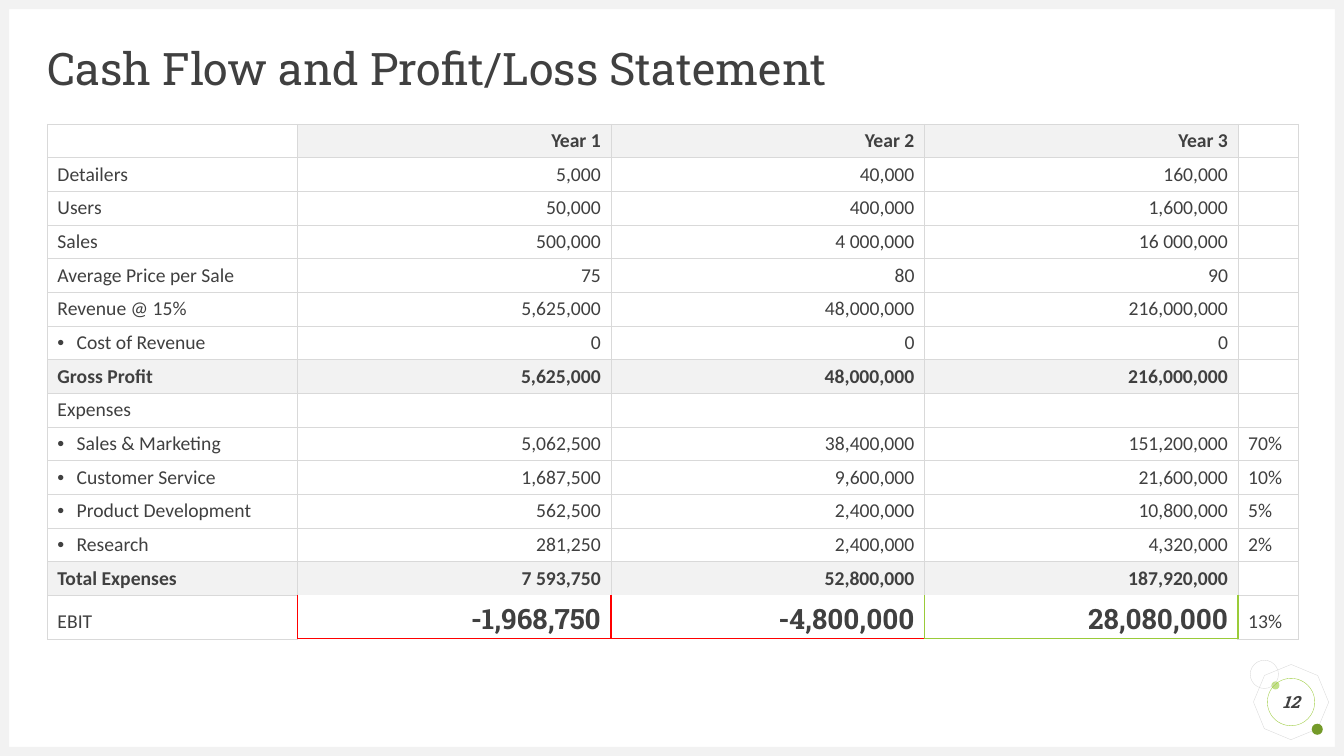
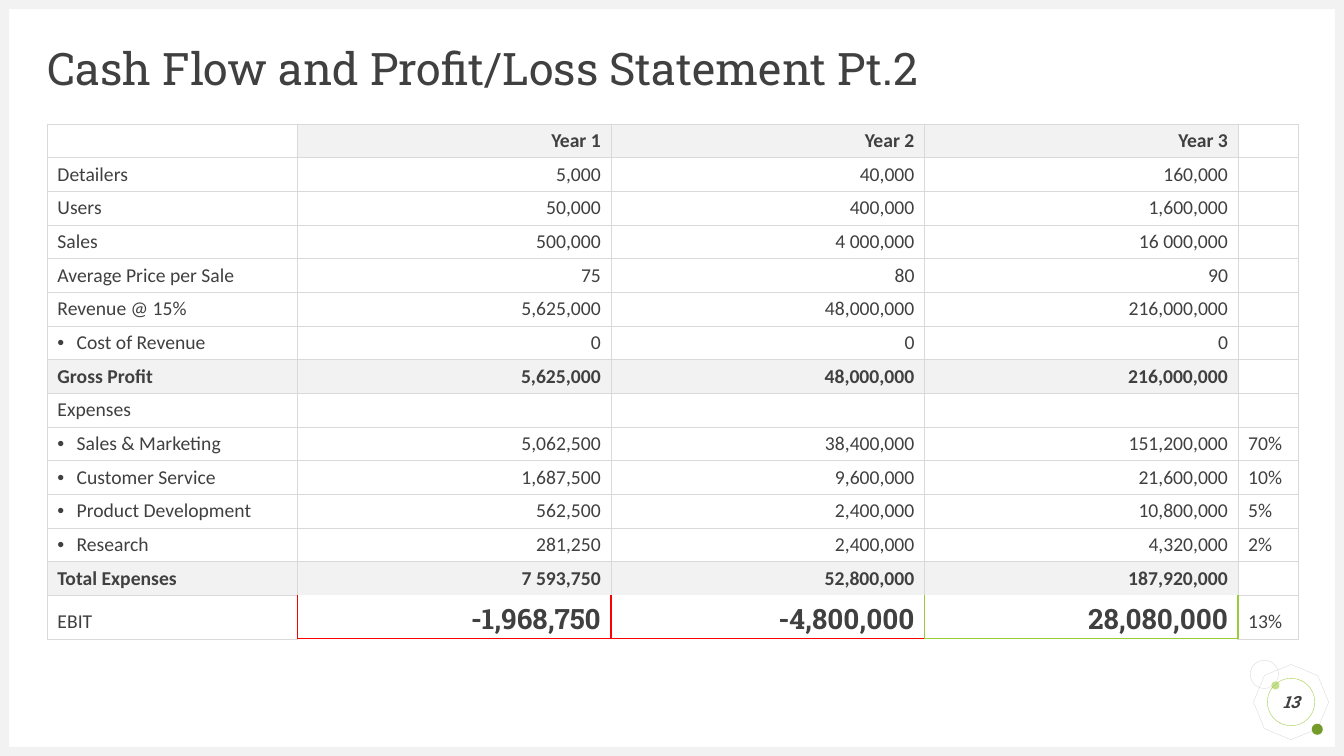
from lxml import etree
from pptx import Presentation
from pptx.dml.color import RGBColor
from pptx.enum.shapes import MSO_SHAPE
from pptx.enum.text import MSO_ANCHOR, PP_ALIGN
from pptx.oxml.ns import qn
from pptx.util import Inches, Pt

RECT, OVAL, OCTAGON = MSO_SHAPE.RECTANGLE, MSO_SHAPE.OVAL, MSO_SHAPE.OCTAGON
MIDDLE, BOTTOM = MSO_ANCHOR.MIDDLE, MSO_ANCHOR.BOTTOM
LEFT, CENTER, RIGHT = PP_ALIGN.LEFT, PP_ALIGN.CENTER, PP_ALIGN.RIGHT

THEME = {
    "text": "404040", "white": "FFFFFF", "band": "F2F2F2", "grid": "D9D9D9",
    "loss": "FF0000", "profit": "9ACB39", "light_dot": "C2E088", "dark_dot": "749A29",
    "heading_font": "Roboto Slab", "body_font": "Calibri",
    "title_size": 32, "body_size": 14, "result_size": 20, "number_size": 12,
}
W, H, BAND = 13.33, 7.5, 0.09

DECOR = [
    (OCTAGON, 12.46, 6.62, 0.69, 0.69, None, "grid", 22.7),
    (OVAL, 12.61, 6.76, 0.08, 0.08, "light_dot", None, 0),
    (OVAL, 13.01, 7.18, 0.11, 0.11, "dark_dot", None, 0),
    (OVAL, 12.4, 6.55, 0.28, 0.28, None, "grid", 0),
    (RECT, 0, H - BAND, W, BAND, "band", None, 0),
    (RECT, 0, 0, W, BAND, "band", None, 0),
    (RECT, 0, 0, BAND, H, "band", None, 0),
    (RECT, W - BAND, 0, BAND, H, "band", None, 0),
    (OVAL, 12.57, 6.73, 0.47, 0.47, None, "profit", 0),
]

COLUMN_WIDTHS = [2.48, 3.11, 3.11, 3.11, 0.6]
ROW_HEIGHT, RESULT_HEIGHT = 0.33, 0.42
ROWS = [
    ["", "Year 1", "Year 2", "Year 3", ""],
    ["Detailers", "5,000", "40,000", "160,000", ""],
    ["Users", "50,000", "400,000", "1,600,000", ""],
    ["Sales", "500,000", "4 000,000", "16 000,000", ""],
    ["Average Price per Sale", "75", "80", "90", ""],
    ["Revenue @ 15%", "5,625,000", "48,000,000", "216,000,000", ""],
    ["Cost of Revenue", "0", "0", "0", ""],
    ["Gross Profit", "5,625,000", "48,000,000", "216,000,000", ""],
    ["Expenses", "", "", "", ""],
    ["Sales & Marketing", "5,062,500", "38,400,000", "151,200,000", "70%"],
    ["Customer Service", "1,687,500", "9,600,000", "21,600,000", "10%"],
    ["Product Development", "562,500", "2,400,000", "10,800,000", "5%"],
    ["Research", "281,250", "2,400,000", "4,320,000", "2%"],
    ["Total Expenses", "7 593,750", "52,800,000", "187,920,000", ""],
    ["EBIT", "-1,968,750", "-4,800,000", "28,080,000", "13%"],
]
BULLETED = {"Cost of Revenue", "Sales & Marketing", "Customer Service",
            "Product Development", "Research"}
HIGHLIGHTED = {"", "Gross Profit", "Total Expenses"}
TOTAL_ROW, RESULT_ROW = len(ROWS) - 2, len(ROWS) - 1
RESULT_SIDES = ["loss", "loss", "profit", "profit"]
RESULT_BASES = ["loss", "loss", "profit"]


def style_text(p, font, size, bold=False, italic=False):
    for r in p.runs:
        r.font.name = font
        r.font.size = Pt(size)
        r.font.bold = bold
        r.font.italic = italic
        r.font.color.rgb = RGBColor.from_string(THEME["text"])


def set_border(cell, side, color):
    ln = etree.SubElement(cell._tc.get_or_add_tcPr(), qn("a:ln" + side))
    if color is None:
        etree.SubElement(ln, qn("a:noFill"))
        return
    ln.set("w", str(Pt(0.25 if color == "grid" else 1)))
    fill = etree.SubElement(ln, qn("a:solidFill"))
    etree.SubElement(fill, qn("a:srgbClr")).set("val", THEME[color])


prs = Presentation()
prs.slide_width, prs.slide_height = Inches(W), Inches(H)

for number, title in [(12, "Cash Flow and Profit/Loss Statement"),
                      (13, "Cash Flow and Profit/Loss Statement Pt.2")]:
    s = prs.slides.add_slide(prs.slide_layouts[6])

    for kind, x, y, w, h, fill, line, angle in DECOR:
        sp = s.shapes.add_shape(kind, Inches(x), Inches(y), Inches(w), Inches(h))
        sp.shadow.inherit = False
        sp.rotation = angle
        if fill:
            sp.fill.solid()
            sp.fill.fore_color.rgb = RGBColor.from_string(THEME[fill])
        else:
            sp.fill.background()
        if line:
            sp.line.color.rgb = RGBColor.from_string(THEME[line])
            sp.line.width = Pt(0.25)
        else:
            sp.line.fill.background()

    title_box = s.shapes.add_textbox(Inches(0.47), Inches(0.47), Inches(12.4), Inches(0.47))
    for box, text, align, size in [(sp, str(number), CENTER, THEME["number_size"]),
                                   (title_box, title, LEFT, THEME["title_size"])]:
        tf = box.text_frame
        tf.text = text
        tf.word_wrap = True
        tf.vertical_anchor = MIDDLE
        tf.margin_left = tf.margin_right = tf.margin_top = tf.margin_bottom = 0
        p = tf.paragraphs[0]
        p.alignment = align
        is_number = box is sp
        style_text(p, THEME["heading_font"], size, is_number, is_number)
    p.line_spacing = 0.9

    table_height = ROW_HEIGHT * RESULT_ROW + RESULT_HEIGHT
    table = s.shapes.add_table(len(ROWS), len(COLUMN_WIDTHS), Inches(0.47), Inches(1.23),
                               Inches(sum(COLUMN_WIDTHS)), Inches(table_height)).table
    table.first_row = table.horz_banding = False
    for column, width in zip(table.columns, COLUMN_WIDTHS):
        column.width = Inches(width)

    for i, values in enumerate(ROWS):
        table.rows[i].height = Inches(RESULT_HEIGHT if i == RESULT_ROW else ROW_HEIGHT)
        label = values[0]
        for j, value in enumerate(values):
            cell = table.cell(i, j)
            is_year = 1 <= j <= 3
            is_result = i == RESULT_ROW and is_year
            highlighted = label in HIGHLIGHTED and (is_year or j == 0 and label != "")

            borders = dict.fromkeys("LRTB", "grid")
            if i == TOTAL_ROW and is_year:
                borders["B"] = None
            if i == RESULT_ROW:
                if j > 0:
                    borders["L"] = RESULT_SIDES[j - 1]
                if j < 4:
                    borders["R"] = RESULT_SIDES[j]
                if is_year:
                    borders["T"], borders["B"] = None, RESULT_BASES[j - 1]
            for side, color in borders.items():
                set_border(cell, side, color)

            cell.fill.solid()
            cell.fill.fore_color.rgb = RGBColor.from_string(
                THEME["band" if highlighted else "white"])
            cell.vertical_anchor = BOTTOM
            p = cell.text_frame.paragraphs[0]
            if not value:
                p._p.get_or_add_endParaRPr().set("sz", str(THEME["body_size"] * 100))
                continue
            p.text = value
            p.alignment = RIGHT if is_year else LEFT
            if is_result:
                style_text(p, THEME["heading_font"], THEME["result_size"], True)
            else:
                style_text(p, THEME["body_font"], THEME["body_size"], highlighted)
            if value in BULLETED:
                pPr = p._p.get_or_add_pPr()
                pPr.set("marL", str(Inches(0.19)))
                pPr.set("indent", str(-Inches(0.19)))
                etree.SubElement(pPr, qn("a:buFont")).set("typeface", "Arial")
                etree.SubElement(pPr, qn("a:buChar")).set("char", "•")

prs.save("out.pptx")
